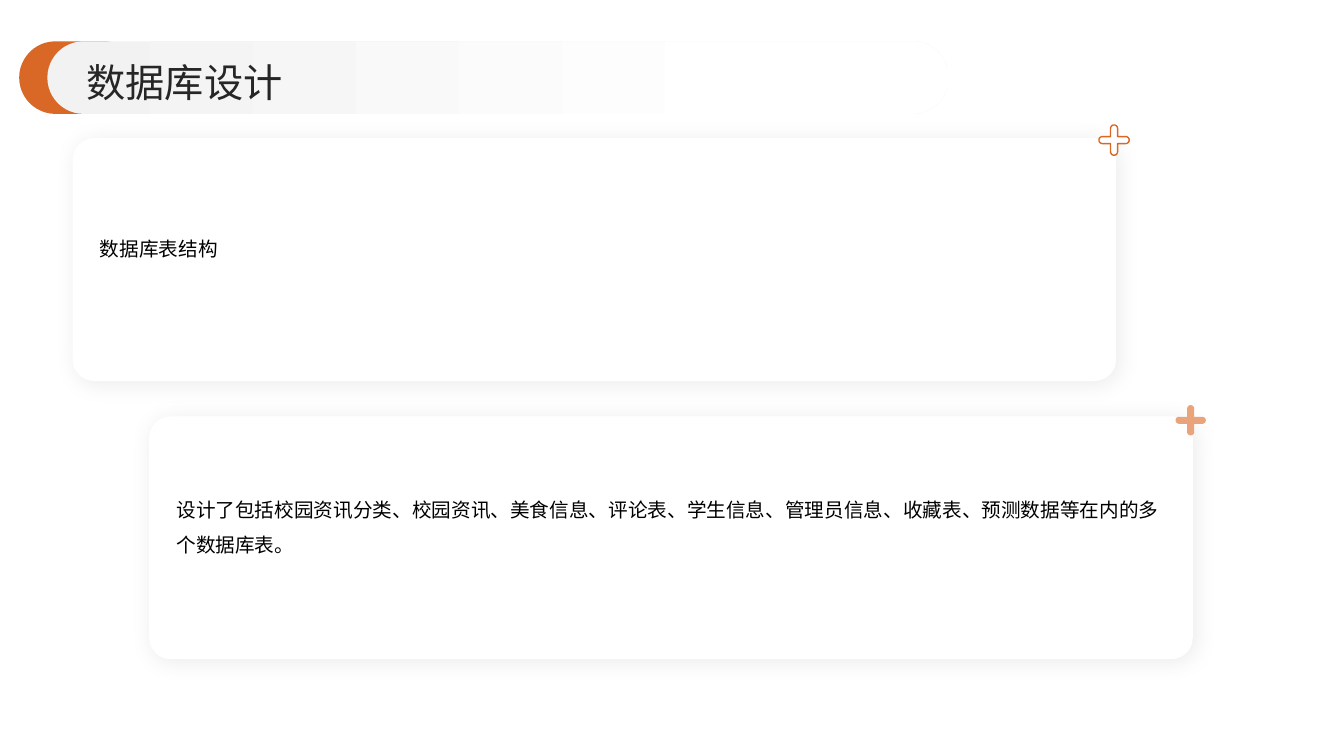
from math import cos, pi, sin

from lxml import etree
from pptx import Presentation
from pptx.dml.color import RGBColor
from pptx.enum.shapes import MSO_SHAPE
from pptx.enum.text import MSO_ANCHOR, MSO_AUTO_SIZE, PP_ALIGN
from pptx.oxml import parse_xml
from pptx.oxml.ns import nsdecls, qn
from pptx.util import Inches, Pt

ROUND_RECT = MSO_SHAPE.ROUNDED_RECTANGLE
MIDDLE = MSO_ANCHOR.MIDDLE
LEFT = PP_ALIGN.LEFT
NO_AUTOSIZE = MSO_AUTO_SIZE.NONE

FONT = "Noto Sans CJK SC"
WHITE = RGBColor(0xFF, 0xFF, 0xFF)
BLACK = RGBColor(0, 0, 0)
DARK = RGBColor(0x26, 0x26, 0x26)
GREY = RGBColor(0xF2, 0xF2, 0xF2)
ORANGE = RGBColor(0xD9, 0x67, 0x25)
PEACH = RGBColor(0xE9, 0xA4, 0x7C)

CARD_SHADOW = (
    f'<a:effectLst {nsdecls("a")}>'
    f'<a:outerShdw blurRad="{Pt(16)}" dist="{Pt(3)}" dir="2700000" algn="tl" rotWithShape="0">'
    '<a:srgbClr val="000000"><a:alpha val="8000"/></a:srgbClr>'
    '</a:outerShdw></a:effectLst>'
)


def add_round_rect(left, top, width, height, radius):
    sp = s.shapes.add_shape(ROUND_RECT, Inches(left), Inches(top), Inches(width), Inches(height))
    sp.adjustments[0] = radius
    sp.shadow.inherit = False
    sp.line.fill.background()
    return sp


def write_text(sp, text, size, color, spacing):
    tf = sp.text_frame
    tf.text = text
    tf.word_wrap = True
    tf.auto_size = NO_AUTOSIZE
    tf.vertical_anchor = MIDDLE
    tf.margin_left = tf.margin_top = tf.margin_right = tf.margin_bottom = 0
    p = tf.paragraphs[0]
    p.alignment = LEFT
    p.line_spacing = spacing
    r = p.runs[0]
    r.font.size = Pt(size)
    r.font.name = FONT
    r.font.color.rgb = color
    etree.SubElement(r.font._element, qn("a:ea")).set("typeface", FONT)


prs = Presentation()
prs.slide_width, prs.slide_height = Inches(13.33), Inches(7.5)
s = prs.slides.add_slide(prs.slide_layouts[5])

# Plus outline in thousandths of an inch: four rounded arms joined at inner corners
ARM, CAP, STEPS = 115, 35, 12
plus = []
for arm in range(4):
    turn = arm * pi / 2
    for i in range(STEPS + 1):
        a = turn - pi / 2 + pi * i / STEPS
        plus.append((ARM * cos(turn) + CAP * cos(a), ARM * sin(turn) + CAP * sin(a)))
    plus.append((CAP * (cos(turn) - sin(turn)), CAP * (sin(turn) + cos(turn))))

# Cards: left, top, text, plus centre, plus fill, plus outline
cards = [
    (0.72, 1.37, "数据库表结构", (11.05, 1.39), WHITE, ORANGE),
    (1.48, 4.13,
     "设计了包括校园资讯分类、校园资讯、美食信息、评论表、学生信息、管理员信息、收藏表、预测数据等在内的多个数据库表。",
     (11.81, 4.17), PEACH, None),
]
for left, top, text, (cx, cy), fill, outline in cards:
    card = add_round_rect(left, top, 10.35, 2.41, 0.088)
    card.fill.solid()
    card.fill.fore_color.rgb = WHITE
    spPr = card._element.spPr
    spPr.replace(spPr.find(qn("a:effectLst")), parse_xml(CARD_SHADOW))

    box = s.shapes.add_textbox(Inches(left + 0.27), Inches(top + 0.12), Inches(9.81), Inches(1.84))
    write_text(box, text, 14, BLACK, 1.5)

    points = [(cx * 1000 + x, cy * 1000 + y) for x, y in plus]
    builder = s.shapes.build_freeform(*points[0], scale=Inches(1) / 1000)
    builder.add_line_segments(points[1:], close=True)
    mark = builder.convert_to_shape()
    mark.shadow.inherit = False
    mark.fill.solid()
    mark.fill.fore_color.rgb = fill
    if outline is None:
        mark.line.fill.background()
    else:
        mark.line.color.rgb = outline
        mark.line.width = Pt(1)

# Title bar
accent = add_round_rect(0.19, 0.41, 1.21, 0.72, 0.5)
accent.fill.solid()
accent.fill.fore_color.rgb = ORANGE

bar = add_round_rect(0.47, 0.41, 8.94, 0.72, 0.5)
bar.fill.gradient()
bar.fill.gradient_angle = 0
for stop, position, color in zip(bar.fill.gradient_stops, (0, 0.8), (GREY, WHITE)):
    stop.position = position
    stop.color.rgb = color

title = s.shapes.title
title.left, title.top = Inches(0.86), Inches(0.53)
title.width, title.height = Inches(11.67), Inches(0.51)
write_text(title, "数据库设计", 28, DARK, 1.1)
s.shapes._spTree.append(title._element)  # bring the title in front of its bar

prs.save("out.pptx")
